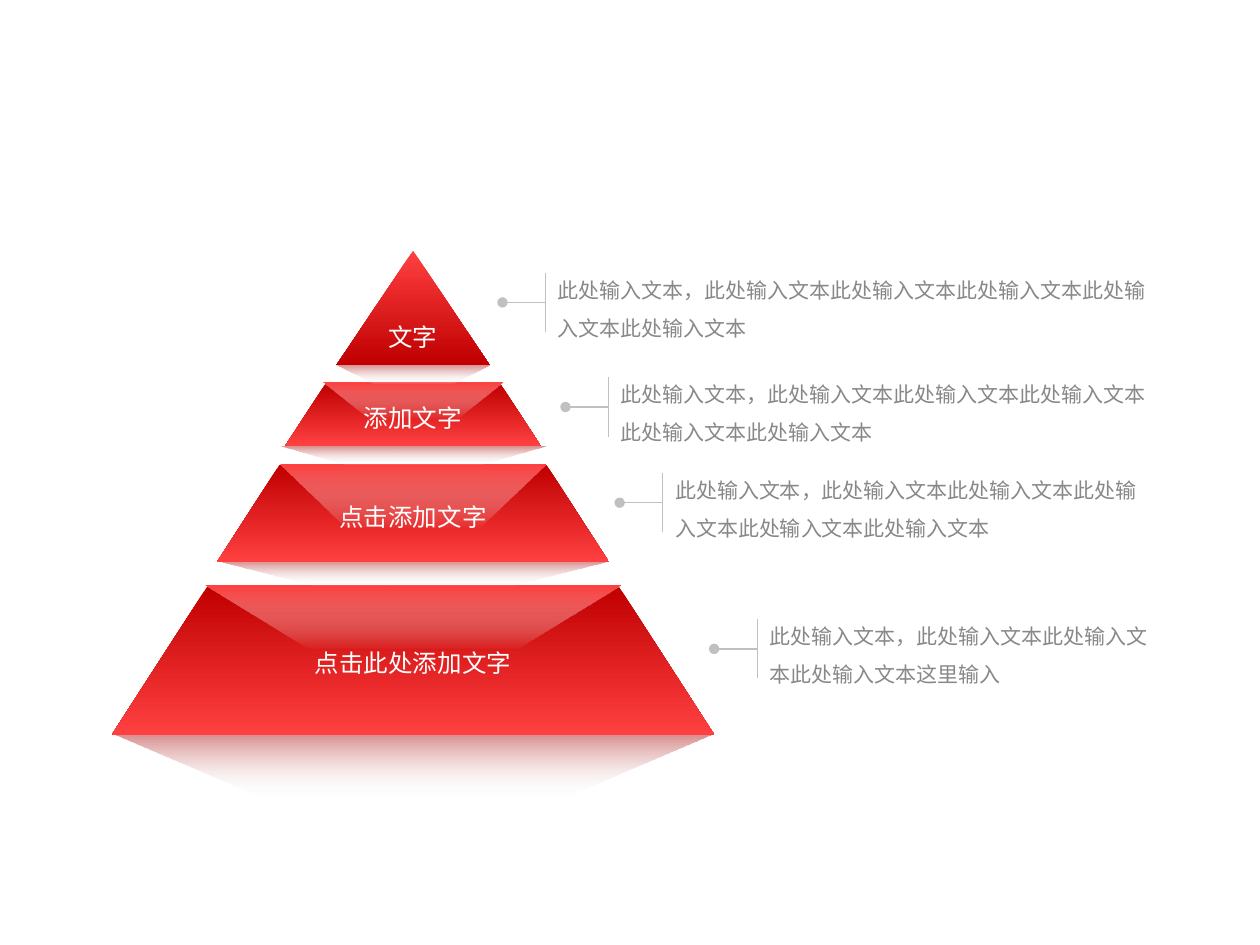
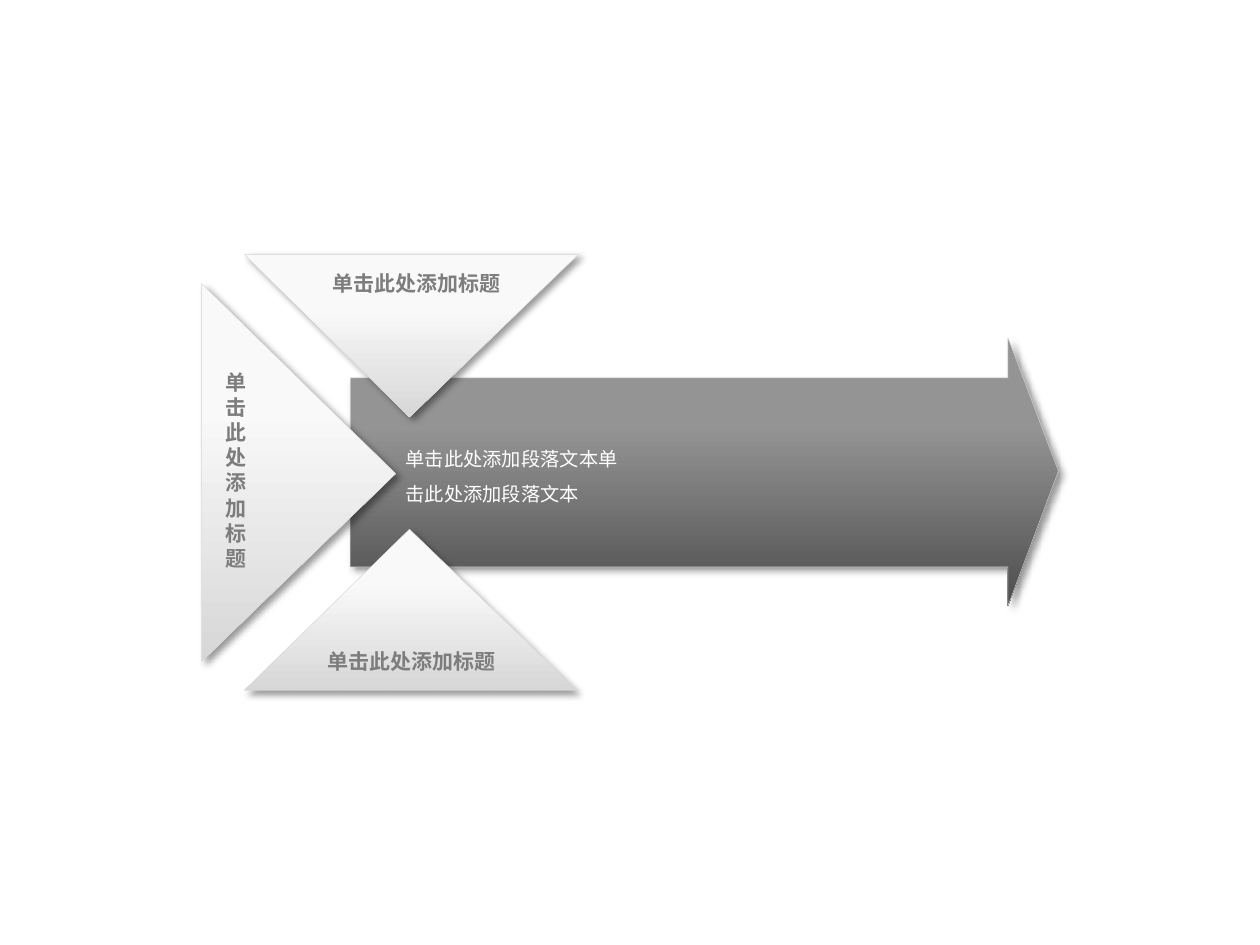
from dataclasses import dataclass
from typing import NamedTuple

from lxml import etree
from pptx import Presentation
from pptx.dml.color import RGBColor
from pptx.enum.shapes import MSO_CONNECTOR, MSO_SHAPE
from pptx.enum.text import MSO_ANCHOR, MSO_AUTO_SIZE, PP_ALIGN
from pptx.oxml.ns import qn
from pptx.util import Inches, Pt

STRAIGHT = MSO_CONNECTOR.STRAIGHT
TRIANGLE = MSO_SHAPE.ISOSCELES_TRIANGLE
LEFT, CENTER = PP_ALIGN.LEFT, PP_ALIGN.CENTER
TOP, MIDDLE = MSO_ANCHOR.TOP, MSO_ANCHOR.MIDDLE
GROW, FIXED = MSO_AUTO_SIZE.SHAPE_TO_FIT_TEXT, MSO_AUTO_SIZE.NONE

# Grid of 100 columns by 75 rows over the whole slide
SLIDE_W, SLIDE_H = Inches(10), Inches(7.5)
COLS, ROWS = 100, 75


def col(n: float) -> int:
    return round(SLIDE_W * n / COLS)


def row(n: float) -> int:
    return round(SLIDE_H * n / ROWS)


class Stop(NamedTuple):
    color: str
    position: float
    alpha: int = 100


Gradient = tuple[Stop, Stop]
Points = list[tuple[float, float]]


class TextStyle(NamedTuple):
    size: float
    font: str
    color: str
    bold: bool = False
    align: PP_ALIGN = LEFT
    spacing: float = 1.0
    anchor: MSO_ANCHOR = TOP
    auto_size: MSO_AUTO_SIZE = FIXED


CLEAR = Stop("FFFFFF", 1, 0)


@dataclass(frozen=True)
class Theme:
    east_asian: str = "Calibri"
    rule: str = "C0C0C0"
    edge: str = "D7D7D7"
    # Fills, from top to bottom
    peak: Gradient = (Stop("FF4040", 0), Stop("C00000", 1))
    tier: Gradient = (Stop("C00000", 0), Stop("FF4040", 1))
    glint: Gradient = (Stop("FF4040", 0), CLEAR)
    grey_reflection: Gradient = (Stop("EAEAEA", 0), CLEAR)
    red_reflection: Gradient = (Stop("C00000", 0, 40), CLEAR)
    dark: Gradient = (Stop("949494", 0.33), Stop("4D4D4D", 1))
    light: Gradient = (Stop("F9F9F9", 0.33), Stop("D7D7D7", 1))
    # Type
    note: TextStyle = TextStyle(12, "Calibri", "888888", spacing=1.5, anchor=MIDDLE)
    label: TextStyle = TextStyle(14, "Calibri", "FFFFFF", align=CENTER,
                                 spacing=1.2, anchor=MIDDLE)
    body: TextStyle = TextStyle(11, "Noto Sans CJK SC", "FFFFFF",
                                spacing=1.5, auto_size=GROW)
    title: TextStyle = TextStyle(12, "Noto Sans CJK SC", "7D7D7D", bold=True,
                                 align=CENTER, auto_size=GROW)


THEME = Theme()


class Box(NamedTuple):
    x: float
    y: float
    w: float
    h: float


class Tier(NamedTuple):
    text: str
    y: float
    h: float
    top_w: float
    base_w: float
    glint_w: float
    glint_h: float
    reflection_w: float
    reflection_h: float


class Callout(NamedTuple):
    x: float
    y: float
    text: str


class Wedge(NamedTuple):
    points: Points
    title: Box


# ---- Drawing helpers ----
def add_text(slide, box: Box, text: str, style: TextStyle) -> None:
    tb = slide.shapes.add_textbox(col(box.x), row(box.y), col(box.w), row(box.h))
    tf = tb.text_frame
    tf.word_wrap = True
    tf.auto_size = style.auto_size
    tf.vertical_anchor = style.anchor
    p = tf.paragraphs[0]
    p.alignment = style.align
    p.line_spacing = style.spacing
    r = p.add_run()
    r.text = text
    r.font.name = style.font
    r.font.size = Pt(style.size)
    r.font.bold = style.bold
    r.font.color.rgb = RGBColor.from_string(style.color)
    ea = etree.SubElement(r.font._element, qn("a:ea"))
    ea.set("typeface", THEME.east_asian)


def paint(s, gradient: Gradient) -> None:
    """Vertical gradient without line or shadow."""
    s.shadow.inherit = False
    s.line.fill.background()
    s.fill.gradient()
    s.fill.gradient_angle = 270
    for target, stop in zip(s.fill.gradient_stops, gradient):
        target.color.rgb = RGBColor.from_string(stop.color)
        target.position = stop.position
    colors = s._element.spPr.find(qn("a:gradFill")).iter(qn("a:srgbClr"))
    for color, stop in zip(colors, gradient):
        if stop.alpha < 100:
            etree.SubElement(color, qn("a:alpha")).set("val", str(stop.alpha * 1000))


def add_polygon(slide, points: Points, gradient: Gradient):
    start, *rest = [(col(x), row(y)) for x, y in points]
    builder = slide.shapes.build_freeform(*start)
    builder.add_line_segments(rest, close=True)
    s = builder.convert_to_shape()
    paint(s, gradient)
    return s


def add_raised_polygon(slide, points: Points, gradient: Gradient) -> None:
    s = add_polygon(slide, points, gradient)
    s.line.color.rgb = RGBColor.from_string(THEME.edge)
    s.line.width = Pt(0.25)
    effects = s._element.spPr.find(qn("a:effectLst"))
    shadow = etree.SubElement(effects, qn("a:outerShdw"), blurRad=str(Pt(4)),
                              dist=str(Pt(3)), dir=str(45 * 60000),
                              algn="tl", rotWithShape="0")
    color = etree.SubElement(shadow, qn("a:srgbClr"), val="000000")
    etree.SubElement(color, qn("a:alpha"), val="40000")


def add_rule(slide, x1: float, y1: float, x2: float, y2: float,
             dot: bool = False) -> None:
    s = slide.shapes.add_connector(STRAIGHT, col(x1), row(y1), col(x2), row(y2))
    s.line.color.rgb = RGBColor.from_string(THEME.rule)
    s.line.width = Pt(0.75)
    if dot:
        etree.SubElement(s.line._get_or_add_ln(), qn("a:headEnd"), type="oval")
    etree.SubElement(s._element.spPr, qn("a:effectLst"))


# ---- Slide 1: pyramid with callouts ----
AXIS = 32.78
NOTE_RIGHT = 92.5
PEAK_LABEL_H = 5
LONG_NOTE = "此处输入文本，此处输入文本此处输入文本此处输入文本此处输入文本此处输入文本"

TIERS = [
    Tier("点击此处添加文字", 46.5, 11.8, 32.6, 47.8, 33, 5, 47.6, 5),
    Tier("点击添加文字", 36.9, 7.7, 21.2, 31.1, 21.1, 5, 31.1, 1.9),
    Tier("添加文字", 30.4, 5, 13.8, 20.3, 14.2, 2.7, 21.1, 1.5),
    Tier("文字", 19.9, 9.1, 0, 12.2, 0, 0, 12.2, 1.4),
]
CALLOUTS = [
    Callout(43.3, 24, LONG_NOTE),
    Callout(48.3, 32.3, LONG_NOTE),
    Callout(52.6, 39.9, LONG_NOTE),
    Callout(60.1, 51.5, "此处输入文本，此处输入文本此处输入文本此处输入文本这里输入"),
]


def trapezoid(y: float, h: float, top_w: float, base_w: float) -> Points:
    return [(AXIS - top_w / 2, y), (AXIS + top_w / 2, y),
            (AXIS + base_w / 2, y + h), (AXIS - base_w / 2, y + h)]


def add_callout(slide, c: Callout) -> None:
    add_rule(slide, c.x - 3.42, c.y, c.x, c.y, dot=True)
    add_rule(slide, c.x, c.y - 2.35, c.x, c.y + 2.35)
    add_text(slide, Box(c.x, c.y - 1.95, NOTE_RIGHT - c.x, 3.9), c.text, THEME.note)


def add_tier(slide, t: Tier) -> None:
    base = t.y + t.h
    left = AXIS - t.base_w / 2
    reflection = trapezoid(base, t.reflection_h, t.reflection_w, t.reflection_w / 2)
    for gradient in (THEME.grey_reflection, THEME.red_reflection):
        add_polygon(slide, reflection, gradient)
    if t.top_w:
        add_polygon(slide, trapezoid(t.y, t.h, t.top_w, t.base_w), THEME.tier)
        add_polygon(slide, trapezoid(t.y, t.glint_h, t.glint_w, t.glint_w / 2),
                    THEME.glint)
        label_h = t.h
    else:
        s = slide.shapes.add_shape(TRIANGLE, col(left), row(t.y),
                                   col(t.base_w), row(t.h))
        paint(s, THEME.peak)
        label_h = PEAK_LABEL_H
    add_text(slide, Box(left, base - label_h, t.base_w, label_h), t.text, THEME.label)


def build_pyramid(slide) -> None:
    for c in CALLOUTS:
        add_callout(slide, c)
    for t in TIERS:
        add_tier(slide, t)


# ---- Slide 2: three wedges pointing into an arrow ----
WEDGE_TITLE = "单击此处添加标题"
ARROW = [(27.8, 30), (80, 30), (80, 26.8), (84, 37.4),
         (80, 48.1), (80, 45), (27.8, 45)]
WEDGES = [
    Wedge([(19.4, 20.2), (45.9, 20.2), (32.5, 33.1)], Box(23.4, 21, 19.3, 3.1)),
    Wedge([(19.4, 54.8), (45.8, 54.8), (32.5, 42)], Box(23, 51, 19.3, 3.1)),
    Wedge([(16, 22.5), (31.4, 37.6), (16, 52.5)], Box(16.9, 28.8, 2.6, 17.5)),
]


def build_arrow(slide) -> None:
    add_raised_polygon(slide, ARROW, THEME.dark)
    add_text(slide, Box(31.2, 34.1, 19.3, 6.3),
             "单击此处添加段落文本单击此处添加段落文本", THEME.body)
    for w in WEDGES:
        add_raised_polygon(slide, w.points, THEME.light)
        add_text(slide, w.title, WEDGE_TITLE, THEME.title)


def main() -> None:
    prs = Presentation()
    prs.slide_width, prs.slide_height = SLIDE_W, SLIDE_H
    blank = prs.slide_layouts[6]
    for build in (build_pyramid, build_arrow):
        build(prs.slides.add_slide(blank))
    prs.save("out.pptx")


if __name__ == "__main__":
    main()
